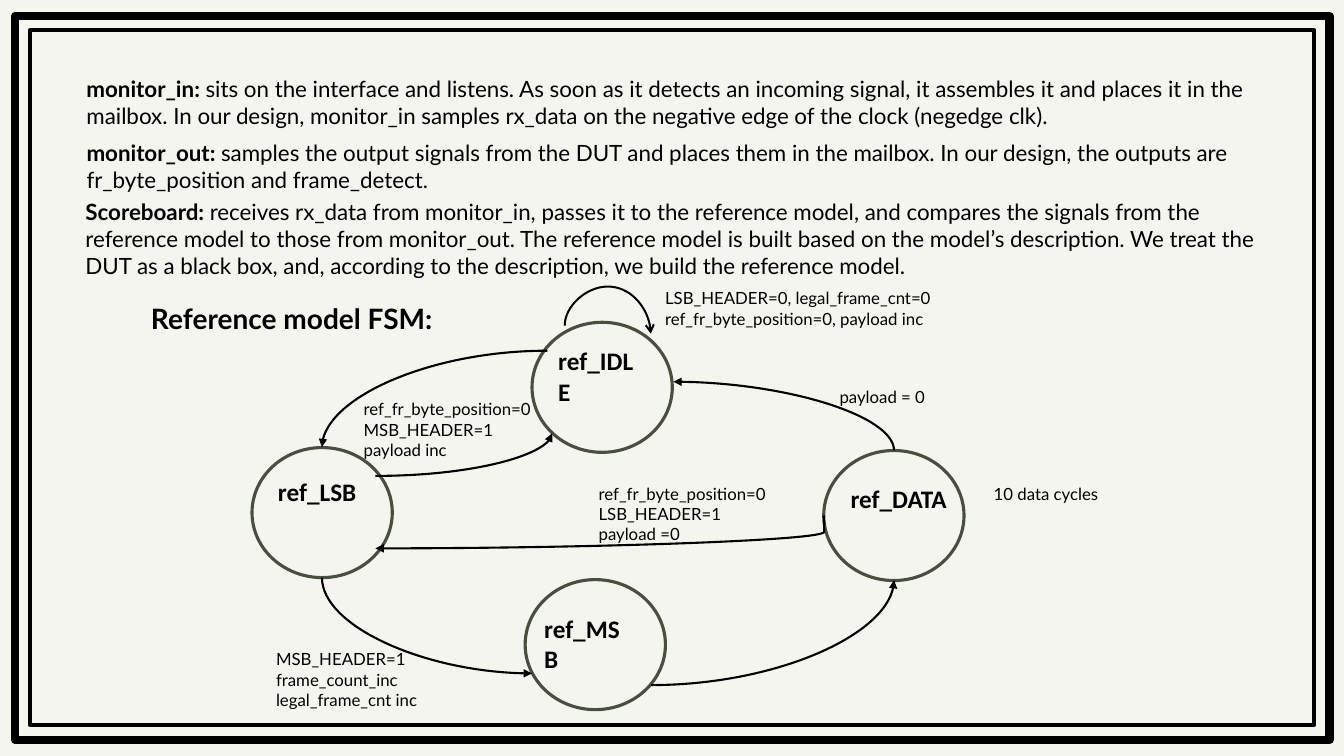
from lxml.etree import SubElement
from pptx import Presentation
from pptx.dml.color import RGBColor
from pptx.enum.shapes import MSO_CONNECTOR as Link, MSO_SHAPE as Shape
from pptx.oxml.ns import qn
from pptx.util import Pt

BLACK = RGBColor(0, 0, 0)
OLIVE = RGBColor(0x48, 0x4F, 0x40)
PAPER = RGBColor(0xF4, 0xF5, 0xEF)

# left, top, width, height, bold lead, body
NOTES = [
    (54.7, 50.4, 852.5, 46, "monitor_in: ",
     "sits on the interface and listens. As soon as it detects an incoming signal, "
     "it assembles it and places it in the mailbox. In our design, monitor_in samples "
     "rx_data on the negative edge of the clock (negedge clk)."),
    (54.7, 95.8, 841, 46, "monitor_out: ",
     "samples the output signals from the DUT and places them in the mailbox. "
     "In our design, the outputs are fr_byte_position and frame_detect."),
    (54, 138.2, 852.5, 65.5, "Scoreboard: ",
     "receives rx_data from monitor_in, passes it to the reference model, and compares "
     "the signals from the reference model to those from monitor_out. The reference "
     "model is built based on the model’s description. We treat the DUT as a black box, "
     "and, according to the description, we build the reference model."),
]
TITLE = (100.8, 211.7, 234.7, 31.7, "Reference model FSM:")

# circle left and top, then name left, top and width
STATES = [
    ("ref_IDLE", 380, 230.2, 391.7, 243.4, 76.3),
    ("ref_LSB", 180, 319.7, 191.5, 337, 76.3),
    ("ref_MSB", 375.1, 414, 381.6, 434.2, 76.3),
    ("ref_DATA", 588.4, 321.8, 600.5, 342, 88.6),
]
STATE_W, STATE_H = 100.2, 92.9

# left, top, width, lines
LABELS = [
    (420.5, 342, 152.6, ["ref_fr_byte_position=0", "LSB_HEADER=1", "payload =0"]),
    (252.7, 281.5, 146.9, ["ref_fr_byte_position=0", "MSB_HEADER=1", "payload inc"]),
    (702.7, 342, 98.6, ["10 data cycles"]),
    (190.1, 460.1, 200.9, ["MSB_HEADER=1", "frame_count_inc", "legal_frame_cnt inc"]),
    (592.6, 272.9, 126.7, ["payload = 0"]),
    (468, 202.3, 234.7, ["LSB_HEADER=0, legal_frame_cnt=0",
                         "ref_fr_byte_position=0, payload inc"]),
]

# start, end, leaves vertically, bend (None for a quarter curve), width, head
ARROWS = [
    ((391, 250.5), (230, 319.4), False, None, 1.5, "triangle"),
    ((403.4, 232.6), (464.9, 238.3), True, -490100, 1.42, "arrow"),
    ((230, 412.6), (380, 481), True, None, 1.5, "triangle"),
    ((268.2, 340), (394.4, 309.6), False, None, 1.5, "triangle"),
    ((465.1, 489.4), (638.6, 414.4), False, None, 1.5, "triangle"),
    ((638.6, 321.8), (481, 272.7), True, None, 1.5, "triangle"),
    ((588.4, 368.2), (268.2, 391.7), False, -100, 1.5, "triangle"),
]

FRAMES = [(10.8, 11.5, 938.9, 517, 6), (21.6, 21.6, 917.3, 496.1, 3)]


def add_text(slide, box, paras, size, font="Lato"):
    """Each paragraph is a list of (text, bold) runs."""
    frame = slide.shapes.add_textbox(*map(Pt, box)).text_frame
    frame.word_wrap = True
    for i, runs in enumerate(paras):
        para = frame.add_paragraph() if i else frame.paragraphs[0]
        for text, bold in runs:
            run = para.add_run()
            run.text = text
            run.font.name, run.font.size, run.font.bold = font, Pt(size), bold
            run.font.color.rgb = BLACK


def add_ring(slide, kind, box, color, width):
    ring = slide.shapes.add_shape(kind, *map(Pt, box))
    ring.shadow.inherit = False
    ring.fill.background()
    ring.line.color.rgb = color
    ring.line.width = Pt(width)


def turn(point, mid):
    """Quarter turn about mid, undone by the 270 degree rotation of the arrow."""
    return mid[0] - point[1] + mid[1], mid[1] + point[0] - mid[0]


def add_arrow(slide, start, end, upright, bend, width, head):
    if upright:
        mid = [(a + b) / 2 for a, b in zip(start, end)]
        start, end = turn(start, mid), turn(end, mid)
    arrow = slide.shapes.add_connector(Link.CURVE, *map(Pt, (*start, *end)))
    arrow.line.color.rgb = BLACK
    arrow.line.width = Pt(width)
    props = arrow._element.spPr
    if upright:
        props.find(qn("a:xfrm")).set("rot", str(270 * 60000))
    geom = props.find(qn("a:prstGeom"))
    if bend is None:
        geom.set("prst", "curvedConnector2")
    else:
        guide = SubElement(geom.find(qn("a:avLst")), qn("a:gd"))
        guide.set("name", "adj1")
        guide.set("fmla", f"val {bend}")
    SubElement(props.find(qn("a:ln")), qn("a:tailEnd")).set("type", head)
    SubElement(props, qn("a:effectLst"))


def main():
    deck = Presentation()
    deck.slide_width, deck.slide_height = Pt(960), Pt(540)
    slide = deck.slides.add_slide(deck.slide_layouts[6])
    slide.background.fill.solid()
    slide.background.fill.fore_color.rgb = PAPER

    for *box, lead, body in NOTES:
        add_text(slide, box, [[(lead, True), (body, False)]], 16)
    for name, left, top, *_ in STATES:
        add_ring(slide, Shape.FLOWCHART_CONNECTOR,
                 (left, top, STATE_W, STATE_H), OLIVE, 2.25)
    for arrow in ARROWS:
        add_arrow(slide, *arrow)
    for name, _, _, left, top, width in STATES:
        add_text(slide, (left, top, width, 29), [[(name, True)]], 18, "Calibri")
    for left, top, width, lines in LABELS:
        box = (left, top, width, 7.2 + 14.5 * len(lines))
        add_text(slide, box, [[(line, False)] for line in lines], 12)
    for *box, width in FRAMES:
        add_ring(slide, Shape.RECTANGLE, box, BLACK, width)
    *box, title = TITLE
    add_text(slide, box, [[(title, True)]], 20)
    deck.save("out.pptx")


if __name__ == "__main__":
    main()
